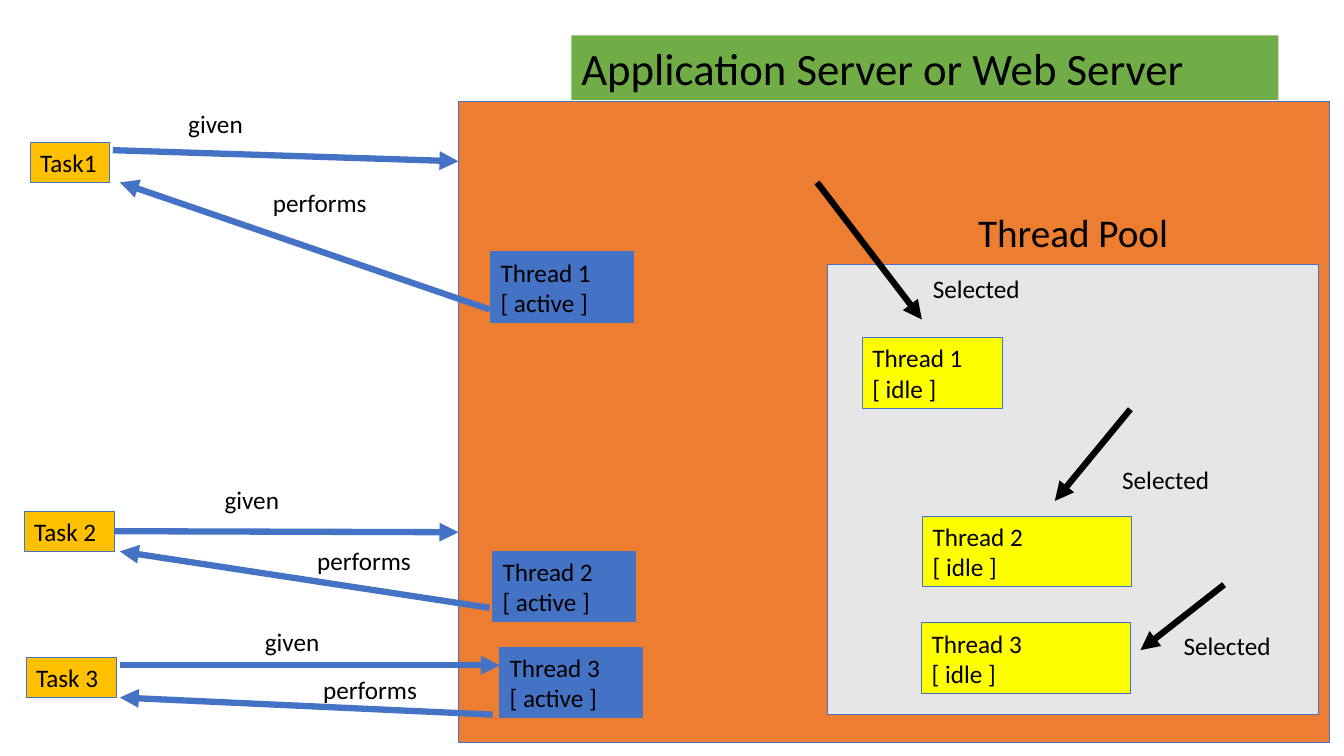
from lxml.etree import SubElement
from pptx import Presentation
from pptx.dml.color import RGBColor
from pptx.enum.shapes import MSO_CONNECTOR, MSO_SHAPE
from pptx.enum.text import MSO_ANCHOR, MSO_AUTO_SIZE, PP_ALIGN
from pptx.oxml.ns import qn
from pptx.util import Inches, Pt

BLUE = RGBColor(0x44, 0x72, 0xC4)
ORANGE = RGBColor(0xED, 0x7D, 0x31)
GRAY = RGBColor(0xE7, 0xE6, 0xE6)
GREEN = RGBColor(0x70, 0xAD, 0x47)
GOLD = RGBColor(0xFF, 0xC0, 0x00)
YELLOW = RGBColor(0xFF, 0xFF, 0x00)
BLACK = RGBColor(0x00, 0x00, 0x00)

TASKS = [
    dict(name="Task1", box=(0.3, 1.41, 0.79), thread=(4.87, 2.5),
         ask=((1.12, 1.49), (4.55, 1.6)), given=(1.77, 1.03),
         reply=((4.86, 3.07), (1.19, 1.81)), performs=(2.61, 1.81)),
    dict(name="Task 2", box=(0.24, 5.07, 0.9), thread=(4.89, 5.47),
         ask=((1.14, 5.27), (4.55, 5.28)), given=(2.13, 4.76),
         reply=((4.86, 6.03), (1.19, 5.47)), performs=(3.05, 5.36)),
    dict(name="Task 3", box=(0.26, 6.52, 0.9), thread=(4.96, 6.42),
         ask=((1.19, 6.6), (4.96, 6.6)), given=(2.53, 6.16),
         reply=((4.89, 7.09), (1.19, 6.92)), performs=(3.11, 6.64)),
]
IDLE = [
    dict(box=(8.56, 3.35, 1.39), pick=((8.11, 1.81), (9.15, 3.17)), label=(9.16, 2.66)),
    dict(box=(9.16, 5.12, 2.07), pick=((11.22, 4.06), (10.47, 4.97)), label=(11.04, 4.56)),
    dict(box=(9.15, 6.18, 2.07), pick=((12.15, 5.8), (11.32, 6.45)), label=(11.65, 6.2)),
]


def write(frame, text, size=18, color=BLACK, font="Calibri"):
    frame.text = text
    frame.word_wrap = True
    frame.auto_size = MSO_AUTO_SIZE.NONE
    frame.vertical_anchor = MSO_ANCHOR.TOP
    frame.margin_left = frame.margin_right = Inches(0.1)
    frame.margin_top = frame.margin_bottom = Inches(0.05)
    for para in frame.paragraphs:
        para.alignment = PP_ALIGN.LEFT
        para.line_spacing = 1.0
        para.space_before = Pt(0)
        para.font.size = Pt(size)
        para.font.name = font
        para.font.color.rgb = color


class Board:
    def __init__(self, slide, edge=BLUE, thin=0.75, thick=4.5):
        self.slide = slide
        self.shapes = slide.shapes
        self.edge = edge
        self.thin = Pt(thin)
        self.thick = Pt(thick)

    def title(self, x, y, w, h, text, fill):
        head = self.shapes.title
        head.left, head.top = Inches(x), Inches(y)
        head.width, head.height = Inches(w), Inches(h)
        head.fill.solid()
        head.fill.fore_color.rgb = fill
        write(head.text_frame, text, size=32)

    def box(self, x, y, w, h, fill, text=None):
        rect = self.shapes.add_shape(
            MSO_SHAPE.RECTANGLE, Inches(x), Inches(y), Inches(w), Inches(h))
        rect.shadow.inherit = False
        rect.fill.solid()
        rect.fill.fore_color.rgb = fill
        rect.line.color.rgb = self.edge
        rect.line.width = self.thin
        if text:
            write(rect.text_frame, text)
        return rect

    def label(self, x, y, w, text, h=0.4, size=18):
        note = self.shapes.add_textbox(Inches(x), Inches(y), Inches(w), Inches(h))
        write(note.text_frame, text, size=size)

    def arrow(self, start, end, color):
        line = self.shapes.add_connector(
            MSO_CONNECTOR.STRAIGHT, *[Inches(v) for v in (*start, *end)])
        line.line.color.rgb = color
        line.line.width = self.thick
        SubElement(line.line._get_or_add_ln(), qn("a:tailEnd"), type="triangle")
        SubElement(line._element.spPr, qn("a:effectLst"))
        return line


def main():
    deck = Presentation()
    deck.slide_width, deck.slide_height = Inches(13.34), Inches(7.5)
    board = Board(deck.slides.add_slide(deck.slide_layouts[5]))

    board.title(5.67, 0.35, 7.02, 0.64, "Application Server or Web Server", GREEN)
    board.box(4.55, 1.01, 8.65, 6.36, ORANGE)
    board.box(8.21, 2.62, 4.88, 4.47, GRAY)
    board.label(9.61, 2.02, 2.92, "Thread Pool", h=0.57, size=28)

    for num, task in enumerate(TASKS, 1):
        source = board.box(*task["box"], 0.4, GOLD, task["name"])
        board.box(*task["thread"], 1.42, 0.7, BLUE, f"Thread {num}\n[ active ]")
        ask = board.arrow(*task["ask"], BLUE)
        if task["name"] == "Task 2":
            ask.begin_connect(source, 3)
        board.arrow(*task["reply"], BLUE)
        board.label(*task["given"], 1.49, "given")
        board.label(*task["performs"], 1.48, "performs")

    for num, idle in enumerate(IDLE, 1):
        board.box(*idle["box"], 0.7, YELLOW, f"Thread {num}\n[ idle ]")
        board.arrow(*idle["pick"], BLACK)
        board.label(*idle["label"], 1.28, "Selected")

    deck.save("out.pptx")


if __name__ == "__main__":
    main()
